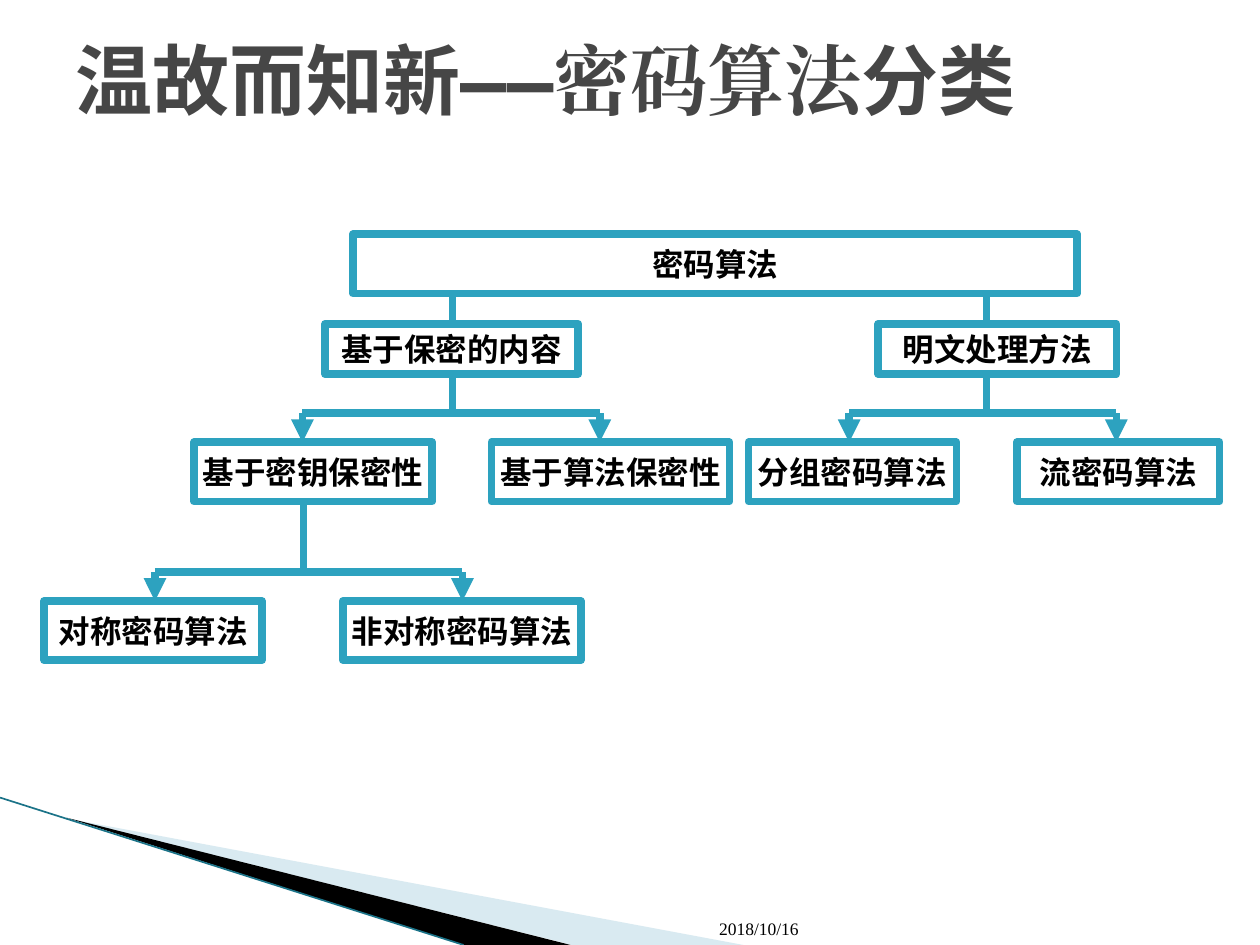
from lxml.etree import SubElement
from pptx import Presentation
from pptx.dml.color import RGBColor
from pptx.enum.shapes import MSO_CONNECTOR, MSO_SHAPE
from pptx.enum.text import MSO_ANCHOR, PP_ALIGN
from pptx.oxml.ns import qn
from pptx.util import Inches, Pt

HUES = {"teal": "2DA2BF", "edge": "1B7388", "pale": "A0CBDC",
        "ink": "000000", "gray": "464646", "white": "FFFFFF"}
MONO, ROMAN = "DejaVu Sans Mono", "Times New Roman"


def write(shape, runs, form, frame, align=PP_ALIGN.LEFT):
    """Fill a shape with runs of (text, font, hue)."""
    for key, val in frame.items():
        setattr(shape.text_frame, key, val)
    para = shape.text_frame.paragraphs[0]
    para.alignment = align
    for text, face, hue in runs:
        run = para.add_run()
        run.text = text
        for key, val in {**form, "name": face}.items():
            setattr(run.font, key, val)
        run.font.color.rgb = RGBColor.from_string(HUES[hue])
        SubElement(run.font._element, qn("a:ea"), typeface=face)


def link(x1, y1, x2, y2, hue="teal", width=4.33, arrow=False):
    """Draw a straight line, with an arrowhead at its end if asked."""
    line = slide.shapes.add_connector(
        MSO_CONNECTOR.STRAIGHT, *map(Inches, (x1, y1, x2, y2)))
    line.line.color.rgb = RGBColor.from_string(HUES[hue])
    line.line.width = Pt(width)
    if arrow:
        SubElement(line.line._get_or_add_ln(), qn("a:tailEnd"), type="triangle")
    SubElement(line._element.spPr, qn("a:effectLst"))


deck = Presentation()
deck.slide_width, deck.slide_height = Inches(10), Inches(7.5)
slide = deck.slides.add_slide(deck.slide_layouts[6])

# Corner wedges
wedges = [("pale", 40, [(0.55, 6.5), (5.9, 7.5), (4.54, 7.5)]),
          ("ink", 100, [(0.53, 6.49), (4.53, 7.5), (3.68, 7.5)])]
for hue, alpha, spots in wedges:
    spots = [(Inches(x), Inches(y)) for x, y in spots]
    path = slide.shapes.build_freeform(*spots[0])
    path.add_line_segments(spots[1:], close=True)
    wedge = path.convert_to_shape()
    wedge.shadow.inherit = False
    wedge.fill.solid()
    wedge.fill.fore_color.rgb = RGBColor.from_string(HUES[hue])
    wedge.line.fill.background()
    tint = wedge._element.spPr.find(".//" + qn("a:srgbClr"))
    SubElement(tint, qn("a:alpha"), val=str(alpha * 1000))
link(0, 6.33, 3.68, 7.5, "edge", 0.95)

# Title and date
title = slide.shapes.add_textbox(Inches(0.5), 0, Inches(9), Inches(1.25))
write(title, [("温故而知新——", MONO, "gray"), ("密码算法", ROMAN, "gray"),
              ("分类", MONO, "gray")],
      {"size": Pt(44), "bold": True},
      {"word_wrap": True, "vertical_anchor": MSO_ANCHOR.MIDDLE})
date = slide.shapes.add_textbox(*map(Inches, (5.61, 7.01, 1.12, 0.49)))
write(date, [("2018/10/16", ROMAN, "ink")], {"size": Pt(10)},
      {"word_wrap": True, "vertical_anchor": MSO_ANCHOR.BOTTOM})

# Forks: stem x, stem top, bar y, arrow x values
forks = [(3.59, 2.33, 3.28, (2.4, 4.76)),
         (7.83, 2.33, 3.28, (6.74, 8.86)),
         (2.41, 3.98, 4.54, (1.23, 3.67))]
for stem, top, bar, tips in forks:
    link(stem, top, stem, bar)
    link(tips[0], bar, tips[1], bar)
    for tip in tips:
        link(tip, bar, tip, bar + 0.23, arrow=True)

# Boxes by level: top, height, then left, width, label
levels = [
    (1.86, 0.47, [(2.8, 5.75, "密码算法")]),
    (2.57, 0.4, [(2.58, 2.01, "基于保密的内容"), (6.97, 1.89, "明文处理方法")]),
    (3.51, 0.47, [(1.54, 1.89, "基于密钥保密性"), (3.9, 1.89, "基于算法保密性"),
                  (5.94, 1.65, "分组密码算法"), (8.07, 1.61, "流密码算法")]),
    (4.77, 0.47, [(0.35, 1.73, "对称密码算法"), (2.72, 1.89, "非对称密码算法")]),
]
for top, high, row in levels:
    for left, wide, label in row:
        box = slide.shapes.add_shape(
            MSO_SHAPE.RECTANGLE, *map(Inches, (left, top, wide, high)))
        box.shadow.inherit = False
        box.fill.solid()
        box.fill.fore_color.rgb = RGBColor.from_string(HUES["white"])
        box.line.color.rgb = RGBColor.from_string(HUES["teal"])
        box.line.width = Pt(4.33)
        write(box, [(label, MONO, "ink")], {"size": Pt(18), "bold": True},
              {"word_wrap": False, "vertical_anchor": MSO_ANCHOR.MIDDLE},
              PP_ALIGN.CENTER)

deck.save("out.pptx")
